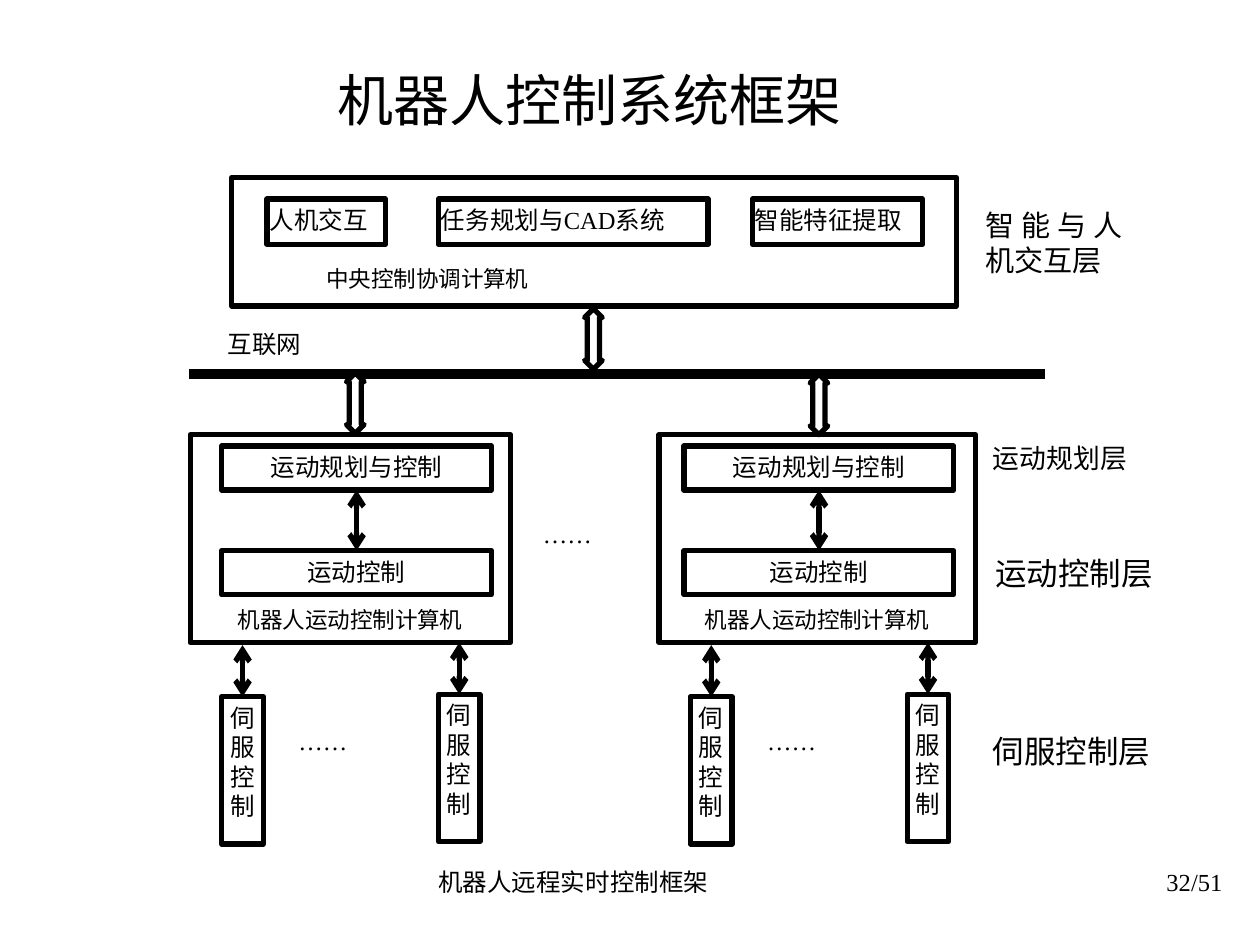
"""Build a slide showing the layered framework of a robot control system."""
from lxml import etree
from pptx import Presentation
from pptx.dml.color import RGBColor
from pptx.enum.shapes import MSO_CONNECTOR, MSO_SHAPE
from pptx.enum.text import MSO_ANCHOR, PP_ALIGN
from pptx.oxml.ns import qn
from pptx.util import Inches, Pt

RECTANGLE, DOUBLE_ARROW = MSO_SHAPE.RECTANGLE, MSO_SHAPE.UP_DOWN_ARROW
STRAIGHT = MSO_CONNECTOR.STRAIGHT
TOP, MIDDLE, BOTTOM = MSO_ANCHOR.TOP, MSO_ANCHOR.MIDDLE, MSO_ANCHOR.BOTTOM
CENTER, RIGHT, JUSTIFY = PP_ALIGN.CENTER, PP_ALIGN.RIGHT, PP_ALIGN.JUSTIFY
TOP_SIDE, BOTTOM_SIDE = 0, 2

COLORS = {"ink": "000000", "paper": "FFFFFF"}
FONT = "Times New Roman"
COLUMNS, ROWS = 100, 75
CELL = Inches(10) // COLUMNS
NARROW, WIDE = (0.2, 0.5), (1, 0.5)
STACK_WIDTH, STACK_HEIGHT = 21.4, 3.5


def grid(*cells):
    """Turn counts of grid cells into lengths."""
    return [round(cell * CELL) for cell in cells]


def color(name):
    """Return a named colour."""
    return RGBColor.from_string(COLORS[name])


def write(shape, text, size, alignment, anchor=TOP, insets=WIDE):
    """Put one paragraph of text into a shape."""
    frame = shape.text_frame
    frame.word_wrap = True
    frame.vertical_anchor = anchor
    side, edge = grid(*insets)
    frame.margin_left = frame.margin_right = side
    frame.margin_top = frame.margin_bottom = edge
    paragraph = frame.paragraphs[0]
    paragraph.text = text
    paragraph.alignment = alignment
    paragraph.font.name = FONT
    paragraph.font.size = Pt(size)
    paragraph.font.color.rgb = color("ink")


def add_label(slide, place, text, size=14, alignment=JUSTIFY, anchor=TOP, insets=WIDE):
    """Add plain text without a frame."""
    write(slide.shapes.add_textbox(*grid(*place)), text, size, alignment, anchor, insets)


def add_outline(slide, kind, place):
    """Add an unfilled shape with a heavy outline."""
    shape = slide.shapes.add_shape(kind, *grid(*place))
    shape.shadow.inherit = False
    shape.fill.background()
    shape.line.color.rgb = color("ink")
    shape.line.width = Pt(3)
    return shape


def add_box(slide, place, text, size=14, alignment=CENTER, anchor=TOP, insets=NARROW):
    """Add a framed box with text."""
    box = add_outline(slide, RECTANGLE, place)
    write(box, text, size, alignment, anchor, insets)
    return box


def add_line(slide, start, end, width):
    """Add a straight line without a shadow."""
    line = slide.shapes.add_connector(STRAIGHT, *grid(*start, *end))
    line.line.color.rgb = color("ink")
    line.line.width = Pt(width)
    etree.SubElement(line.element.spPr, qn("a:effectLst"))
    return line


def add_link(slide, start, target, source=None):
    """Add a line with two arrowheads that ends on top of a target box."""
    link = add_line(slide, start, start, 3)
    outline = link.element.spPr.find(qn("a:ln"))
    for tag in ("a:headEnd", "a:tailEnd"):
        etree.SubElement(outline, qn(tag), type="arrow")
    if source is not None:
        link.begin_connect(source, BOTTOM_SIDE)
    link.end_connect(target, TOP_SIDE)


def add_bus_arrow(slide, left, top):
    """Add a hollow double arrow that meets the network line."""
    arrow = add_outline(slide, DOUBLE_ARROW, (left, top, 1.4, 4.8))
    arrow.fill.solid()
    arrow.fill.fore_color.rgb = color("paper")
    arrow.adjustments[0], arrow.adjustments[1] = 0.5, 0.69


def add_center(slide):
    """Add the central computer and its three modules."""
    add_box(slide, (18.4, 14.1, 57.5, 10.2), "中央控制协调计算机", 12.9, JUSTIFY, BOTTOM, (7.5, 1.1))
    modules = (
        (21.2, 9.4, "人机交互"),
        (34.8, 21.4, "任务规划与CAD系统"),
        (59.7, 13.5, "智能特征提取"),
    )
    for left, width, text in modules:
        add_box(slide, (left, 15.8, width, 3.6), text, alignment=JUSTIFY)


def add_station(slide, left, width, stack_left):
    """Add a motion computer with its stack and servo controllers."""
    add_box(slide, (left, 34.5, width, 16.5), "机器人运动控制计算机", 12.9, CENTER, BOTTOM, (1, 0.8))
    planning, control = [
        add_box(slide, (stack_left, top, STACK_WIDTH, STACK_HEIGHT), text)
        for top, text in ((35.4, "运动规划与控制"), (43.7, "运动控制"))
    ]
    add_link(slide, (stack_left + STACK_WIDTH / 2, 38.9), control, planning)
    for offset, drop in ((2.5, 0.2), (19.7, 0)):
        servo_left = left + offset
        servo = add_box(slide, (servo_left, 55.1 + drop, 3.3, 11.7), "伺服控制")
        add_link(slide, (servo_left + 1.65, 51 + drop), servo)
    add_label(slide, (left + 7.6, 57.1, 9.1, 3.6), "……")


def add_layer_names(slide):
    """Name the layers down the right side."""
    layers = (
        (78, 16, 11.3, 6.8, "智能与人机交互层", 16.6),
        (78.6, 34.6, 13.9, 3.6, "运动规划层", 15.3),
        (78.8, 43.5, 13.8, 4.1, "运动控制层", 18),
        (78.6, 57.6, 13.9, 4.1, "伺服控制层", 18),
    )
    for *place, text, size in layers:
        add_label(slide, place, text, size, insets=NARROW)


def main():
    """Build and save the slide."""
    presentation = Presentation()
    presentation.slide_width, presentation.slide_height = grid(COLUMNS, ROWS)
    slide = presentation.slides.add_slide(presentation.slide_layouts[6])
    add_label(slide, (10, 5, 73.6, 5.8), "机器人控制系统框架", 32, CENTER, MIDDLE)
    add_center(slide)
    for left, width, stack_left in ((15.1, 25.4, 17.6), (52.3, 25.1, 54.3)):
        add_station(slide, left, width, stack_left)
    add_label(slide, (42.1, 40.7, 9.1, 3.6), "……")
    add_line(slide, (15, 29.7), (82.9, 29.7), 6)
    for left, top in ((27.5, 29.6), (64.3, 29.7), (46.4, 24.5)):
        add_bus_arrow(slide, left, top)
    add_label(slide, (17.1, 25.6, 10.9, 3.6), "互联网")
    add_layer_names(slide)
    add_label(slide, (33.8, 68.3, 39.4, 3.6), "机器人远程实时控制框架")
    add_label(slide, (77.2, 68.3, 20.8, 5), "32/51", alignment=RIGHT)
    presentation.save("out.pptx")


if __name__ == "__main__":
    main()
